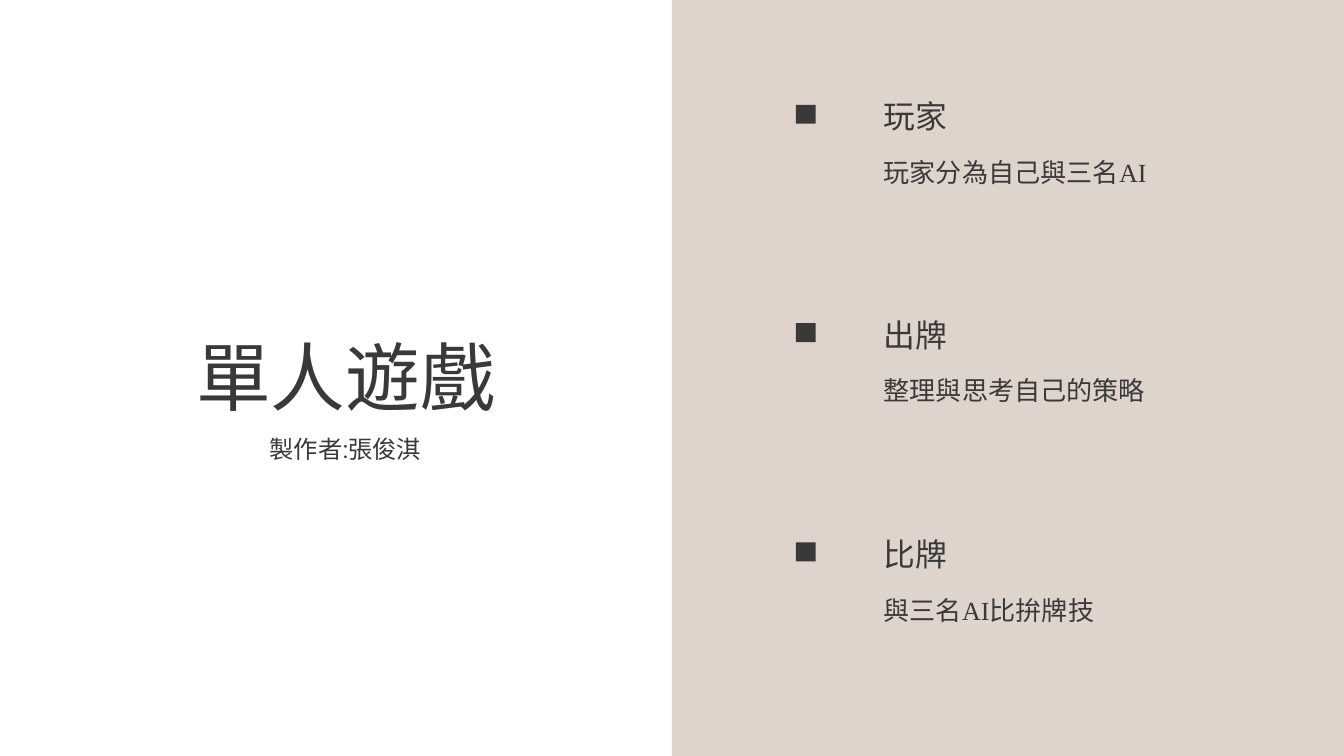
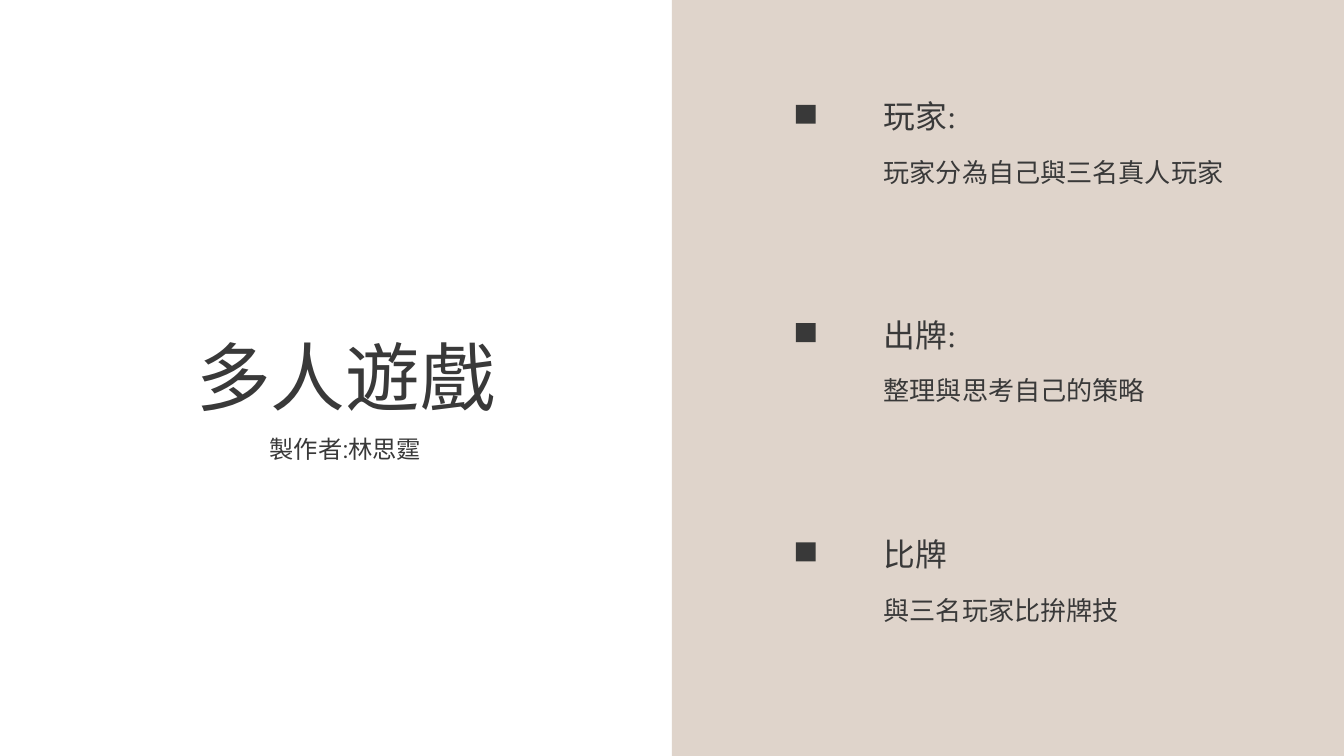
from pptx import Presentation, util as u
from pptx.dml.color import RGBColor
from pptx.enum import shapes, text

PX = u.Inches(0.01)
HUES = {"ink": "393939", "sand": "DFD4CB"}
STEP = 231.5

DECKS = [
    ("單人遊戲", "製作者:張俊淇", [
        ("玩家", "玩家分為自己與三名AI", 357),
        ("出牌", "整理與思考自己的策略", 357),
        ("比牌", "與三名AI比拚牌技", 357),
    ]),
    ("多人遊戲", "製作者:林思霆", [
        ("玩家:", "玩家分為自己與三名真人玩家", 372),
        ("出牌:", "整理與思考自己的策略", 357),
        ("比牌", "與三名玩家比拚牌技", 357),
    ]),
]


def block(slide, hue, x, y, w, h):
    box = slide.shapes.add_shape(
        shapes.MSO_SHAPE.RECTANGLE, x * PX, y * PX, w * PX, h * PX)
    box.shadow.inherit = False
    box.fill.solid()
    box.fill.fore_color.rgb = RGBColor.from_string(HUES[hue])
    box.line.fill.background()


def write(slide, words, x, y, w, h, size, lead, font=None, align=None):
    frame = slide.shapes.add_textbox(x * PX, y * PX, w * PX, h * PX).text_frame
    frame.margin_left = frame.margin_right = 0
    frame.margin_top = frame.margin_bottom = 0
    frame.word_wrap = True
    frame.auto_size = text.MSO_AUTO_SIZE.SHAPE_TO_FIT_TEXT
    para = frame.paragraphs[0]
    para.text = words
    para.alignment = align
    para.line_spacing = u.Pt(lead)
    mixed = any(c.isascii() for c in words)
    para.font.name = font or ("Times New Roman" if mixed else "Calibri")
    para.font.size = u.Pt(size)
    para.font.color.rgb = RGBColor.from_string(HUES["ink"])


prs = Presentation()
prs.slide_width, prs.slide_height = 1422 * PX, 800 * PX
mid = text.PP_ALIGN.CENTER

for title, maker, rules in DECKS:
    slide = prs.slides.add_slide(prs.slide_layouts[6])
    block(slide, "sand", 711, 0, 711, 800)
    write(slide, title, 125, 358, 481, 89, 56.9, 62.6, align=mid)
    for i, (head, body, wide) in enumerate(rules):
        top = 96 + int(i * STEP)
        write(slide, head, 935, top, 357, 45, 24.2, 33.8)
        write(slide, body, 935, top + 64, wide, 38, 19.9, 27.9)
        block(slide, "ink", 842, top + 15, 21, 20)
    write(slide, maker, 285, 454, 161, 34, 18.5, 25.9, "Roboto", mid)

prs.save("out.pptx")
